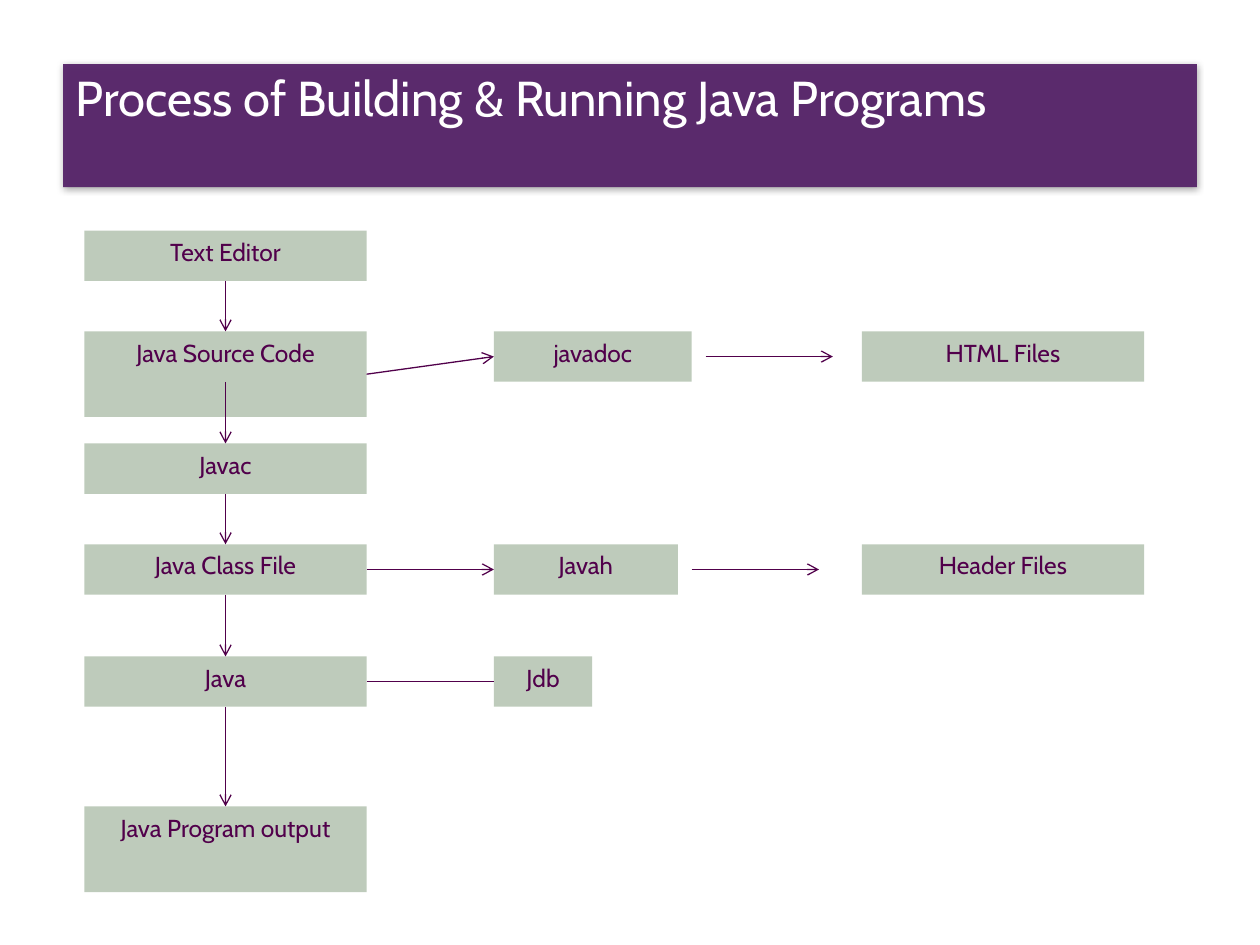
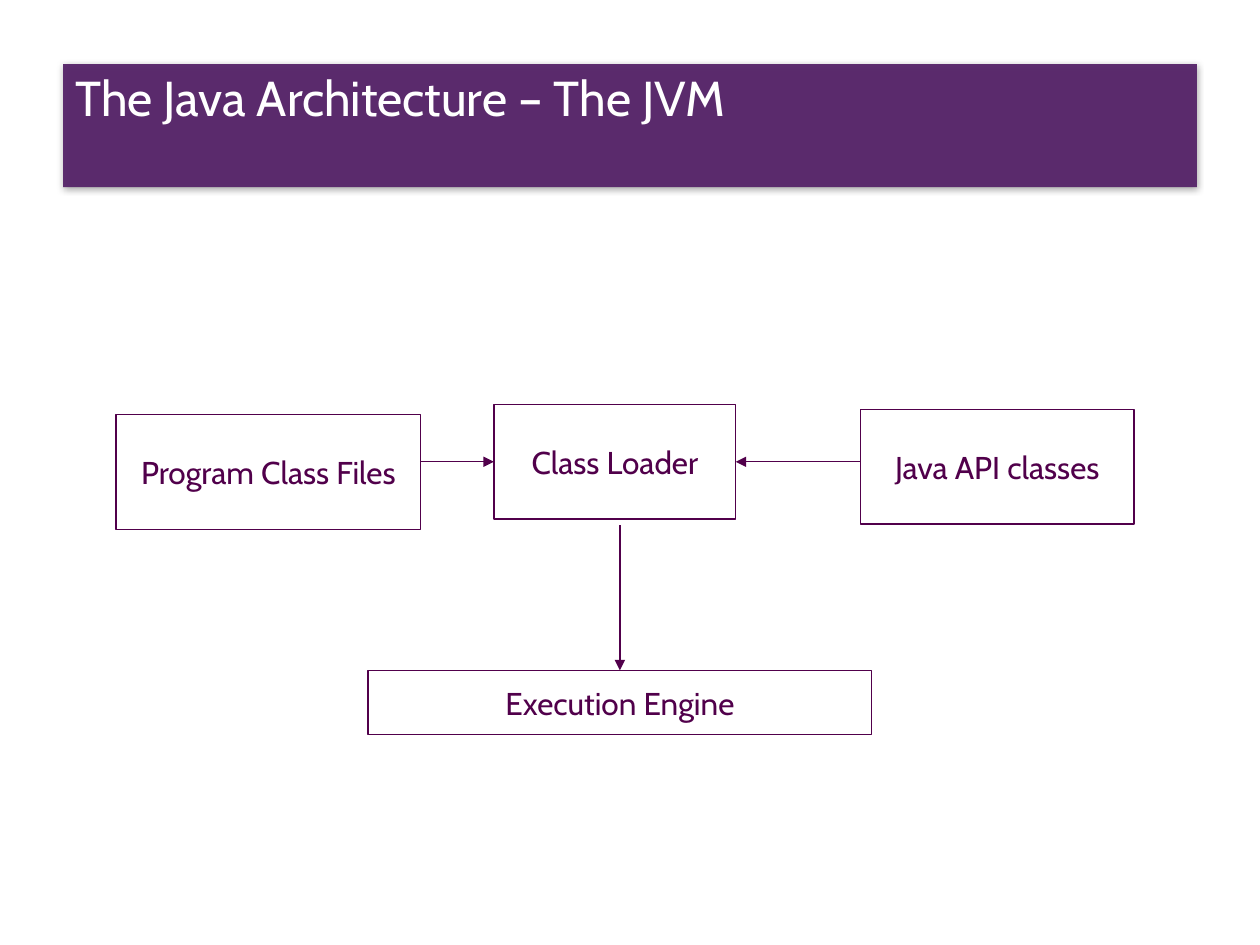
from dataclasses import dataclass
from typing import NamedTuple, Optional, Union

from lxml.etree import SubElement
from pptx import Presentation
from pptx.dml.color import RGBColor
from pptx.enum.shapes import MSO_CONNECTOR as Connector, MSO_SHAPE as Shape
from pptx.enum.text import MSO_ANCHOR as Anchor, MSO_AUTO_SIZE as AutoSize, PP_ALIGN as Align
from pptx.oxml.ns import qn
from pptx.util import Inches, Pt

TOP, LEFT, BOTTOM, RIGHT = range(4)
TITLE_ONLY = 5


@dataclass(frozen=True)
class Theme:
    font: str = "Cabin"
    band: str = "562469"
    band_alpha: int = 95000
    title_ink: str = "FFFFFF"
    ink: str = "51004B"
    step_fill: str = "BECBBB"
    title_size: int = 28
    step_size: int = 14
    part_size: int = 18
    line_width: float = 0.75
    width: float = 10
    height: float = 7.5


THEME = Theme()


class Point(NamedTuple):
    x: float
    y: float


class Joint(NamedTuple):
    """The middle of one side of a named box."""
    label: str
    side: int


class Link(NamedTuple):
    start: Union[Point, Joint]
    end: Union[Point, Joint]
    head: Optional[str] = "arrow"


class Grid(NamedTuple):
    columns: tuple
    rows: tuple


@dataclass(frozen=True)
class Box:
    label: str
    column: int
    row: int
    width: float
    height: float


class BoxStyle(NamedTuple):
    size: int
    anchor: Anchor
    fill: Optional[str] = None
    outline: Optional[str] = None


STEP_STYLE = BoxStyle(THEME.step_size, Anchor.TOP, fill=THEME.step_fill)
PART_STYLE = BoxStyle(THEME.part_size, Anchor.MIDDLE, outline=THEME.ink)

STEP_GRID = Grid((0.67, 3.92, 6.84), (1.83, 2.63, 3.52, 4.32, 5.21, 6.4))
STEP_WIDTH, STEP_HEIGHT, TALL_STEP = 2.24, 0.4, 0.68
STEPS = [
    Box("Text Editor", 0, 0, STEP_WIDTH, STEP_HEIGHT),
    Box("Java Source Code", 0, 1, STEP_WIDTH, TALL_STEP),
    Box("javadoc", 1, 1, 1.57, STEP_HEIGHT),
    Box("HTML Files", 2, 1, STEP_WIDTH, STEP_HEIGHT),
    Box("Javac", 0, 2, STEP_WIDTH, STEP_HEIGHT),
    Box("Java Class File", 0, 3, STEP_WIDTH, STEP_HEIGHT),
    Box("Javah", 1, 3, 1.46, STEP_HEIGHT),
    Box("Header Files", 2, 3, STEP_WIDTH, STEP_HEIGHT),
    Box("Java", 0, 4, STEP_WIDTH, STEP_HEIGHT),
    Box("Jdb", 1, 4, 0.78, STEP_HEIGHT),
    Box("Java Program output", 0, 5, STEP_WIDTH, TALL_STEP),
]

PART_GRID = Grid((0.92, 2.92, 3.92, 6.83), (3.21, 3.25, 3.29, 5.32))
PART_HEIGHT = 0.91
PARTS = [
    Box("Program Class Files", 0, 2, 2.42, PART_HEIGHT),
    Box("Class Loader", 2, 0, 1.92, PART_HEIGHT),
    Box("Java API classes", 3, 1, 2.17, PART_HEIGHT),
    Box("Execution Engine", 1, 3, 4, 0.51),
]


def step_links() -> list[Link]:
    spine = [step for step in STEPS if step.column == 0]
    middle = STEP_GRID.columns[0] + STEP_WIDTH / 2
    links = []
    for upper, lower in zip(spine, spine[1:]):
        start = Joint(upper.label, BOTTOM)
        if upper.label == "Java Source Code":
            start = Point(middle, STEP_GRID.rows[upper.row] + STEP_HEIGHT)
        links.append(Link(start, Joint(lower.label, TOP)))

    for source, tool, head in (("Java Source Code", "javadoc", "arrow"),
                               ("Java Class File", "Javah", "arrow"),
                               ("Java", "Jdb", None)):
        links.append(Link(Joint(source, RIGHT), Joint(tool, LEFT), head))

    gap, length = 0.11, 1.01
    for tool in STEPS:
        if tool.label in ("javadoc", "Javah"):
            x = STEP_GRID.columns[1] + tool.width + gap
            y = STEP_GRID.rows[tool.row] + STEP_HEIGHT / 2
            links.append(Link(Point(x, y), Point(x + length, y)))
    return links


def part_links() -> list[Link]:
    program_files = PARTS[0]
    level = PART_GRID.rows[0] + PART_HEIGHT / 2
    program_edge = PART_GRID.columns[0] + program_files.width
    engine_middle = PART_GRID.columns[1] + PARTS[3].width / 2
    return [
        Link(Point(program_edge, level), Joint("Class Loader", LEFT), "triangle"),
        Link(Point(PART_GRID.columns[3], level), Joint("Class Loader", RIGHT), "triangle"),
        Link(Point(engine_middle, 4.17), Joint("Execution Engine", TOP), "triangle"),
    ]


def rgb(value: str) -> RGBColor:
    return RGBColor.from_string(value)


def write(para, text: str, size: int, color: str) -> None:
    span = para.add_run()
    span.text = text
    span.font.name = THEME.font
    span.font.size = Pt(size)
    span.font.color.rgb = rgb(color)


def style_band(title) -> None:
    """Give the title its translucent fill and soft shadow."""
    title.fill.solid()
    title.fill.fore_color.rgb = rgb(THEME.band)
    properties = title.element.spPr
    SubElement(properties.find(".//" + qn("a:srgbClr")), qn("a:alpha"), val=str(THEME.band_alpha))
    effects = SubElement(properties, qn("a:effectLst"))
    shadow = SubElement(effects, qn("a:outerShdw"), blurRad="50800", dist="12700",
                        dir="5400000", rotWithShape="0")
    shade = SubElement(shadow, qn("a:srgbClr"), val="000000")
    SubElement(shade, qn("a:alpha"), val="35000")


def add_page(deck, heading: str):
    page = deck.slides.add_slide(deck.slide_layouts[TITLE_ONLY])
    title = page.shapes.title
    title.left, title.width = Inches(THEME.width * 0.05), Inches(THEME.width * 0.9)
    title.top, title.height = Inches(THEME.height * 0.068), Inches(THEME.height * 0.13)
    style_band(title)
    frame = title.text_frame
    frame.auto_size = AutoSize.NONE
    frame.word_wrap = True
    frame.vertical_anchor = Anchor.TOP
    frame.margin_left = frame.margin_right = Inches(0.1)
    frame.margin_top, frame.margin_bottom = 0, Inches(0.05)
    para = frame.paragraphs[0]
    para.alignment = Align.LEFT
    para.line_spacing = 1.05
    write(para, heading, THEME.title_size, THEME.title_ink)
    return page


def add_box(page, box: Box, grid: Grid, style: BoxStyle):
    shape = page.shapes.add_shape(
        Shape.RECTANGLE, Inches(grid.columns[box.column]), Inches(grid.rows[box.row]),
        Inches(box.width), Inches(box.height))
    shape.shadow.inherit = False
    if style.fill:
        shape.fill.solid()
        shape.fill.fore_color.rgb = rgb(style.fill)
    else:
        shape.fill.background()
    if style.outline:
        shape.line.color.rgb = rgb(style.outline)
        shape.line.width = Pt(THEME.line_width)
    else:
        shape.line.fill.background()
    frame = shape.text_frame
    frame.word_wrap = True
    frame.vertical_anchor = style.anchor
    para = frame.paragraphs[0]
    para.alignment = Align.CENTER
    write(para, box.label, style.size, THEME.ink)
    return shape


def add_link(page, link: Link, shapes: dict) -> None:
    ends = [Inches(length) for end in (link.start, link.end)
            for length in (end if isinstance(end, Point) else Point(0, 0))]
    connector = page.shapes.add_connector(Connector.STRAIGHT, *ends)
    for end, connect in ((link.start, connector.begin_connect),
                         (link.end, connector.end_connect)):
        if isinstance(end, Joint):
            connect(shapes[end.label], end.side)
    connector.line.color.rgb = rgb(THEME.ink)
    connector.line.width = Pt(THEME.line_width)
    properties = connector.element.spPr
    if link.head:
        SubElement(properties.find(qn("a:ln")), qn("a:tailEnd"), type=link.head)
    SubElement(properties, qn("a:effectLst"))


def add_diagram(deck, heading: str, boxes: list[Box], grid: Grid,
                style: BoxStyle, links: list[Link]) -> None:
    page = add_page(deck, heading)
    shapes = {box.label: add_box(page, box, grid, style) for box in boxes}
    for link in links:
        add_link(page, link, shapes)


def main() -> None:
    deck = Presentation()
    deck.slide_width, deck.slide_height = Inches(THEME.width), Inches(THEME.height)
    add_diagram(deck, "Process of Building & Running Java Programs",
                STEPS, STEP_GRID, STEP_STYLE, step_links())
    add_diagram(deck, "The Java Architecture – The JVM",
                PARTS, PART_GRID, PART_STYLE, part_links())
    deck.save("out.pptx")


if __name__ == "__main__":
    main()
